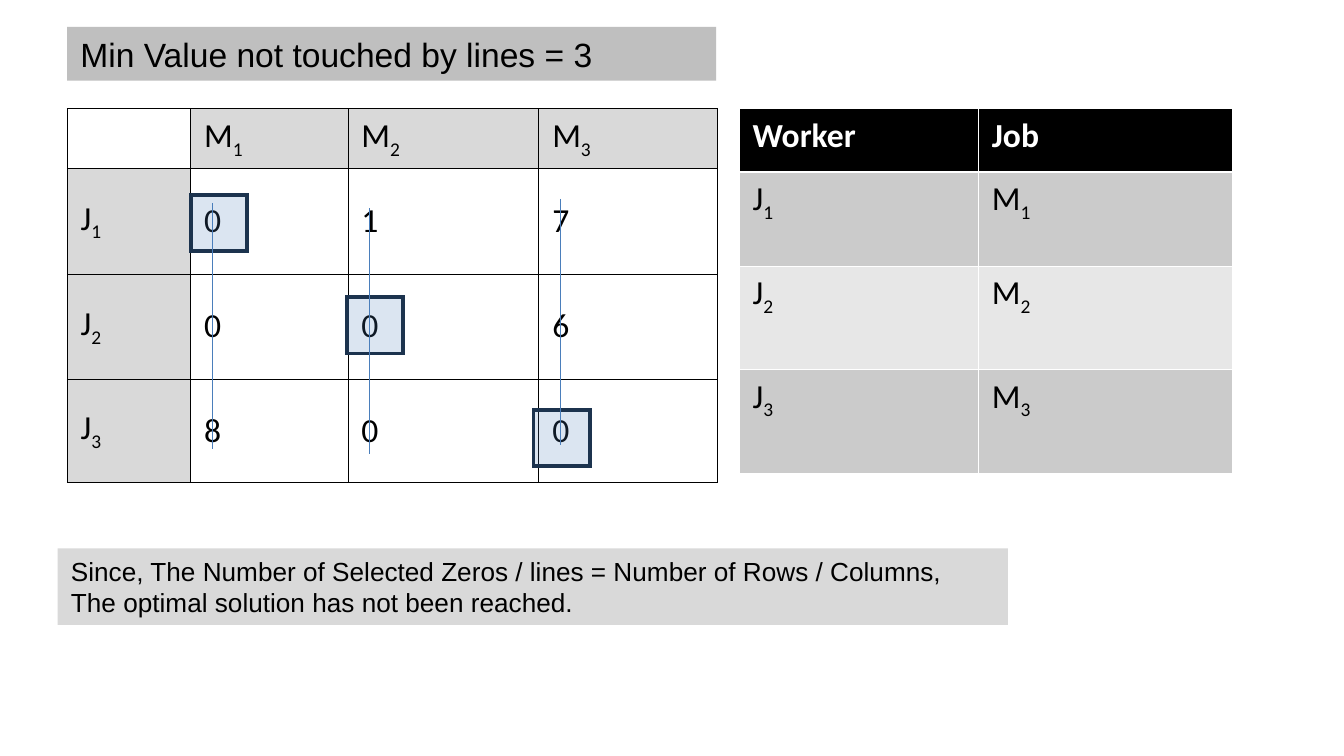
from lxml import etree
from pptx import Presentation
from pptx.dml.color import RGBColor
from pptx.enum.shapes import MSO_CONNECTOR, MSO_SHAPE
from pptx.enum.text import MSO_ANCHOR, PP_ALIGN
from pptx.oxml.ns import qn
from pptx.util import Inches, Pt

RECTANGLE = MSO_SHAPE.RECTANGLE
STRAIGHT = MSO_CONNECTOR.STRAIGHT
TOP, MIDDLE = MSO_ANCHOR.TOP, MSO_ANCHOR.MIDDLE
LEFT = PP_ALIGN.LEFT

COLORS = {
    "black": "000000", "white": "FFFFFF", "title": "BFBFBF", "label": "D9D9D9",
    "band_dark": "CBCBCB", "band_light": "E7E7E7",
    "zero_fill": "4F81BD", "zero_edge": "1C334E", "cover_line": "4A7EBB",
}


def write_text(frame, text, font="Calibri", size=18, color="black", bold=False):
    """Write one paragraph per line; an underscore starts a subscript."""
    frame.word_wrap = True
    for number, line in enumerate(text.split("\n")):
        para = frame.paragraphs[0] if number == 0 else frame.add_paragraph()
        para.alignment = LEFT
        for part, piece in enumerate(line.split("_")):
            span = para.add_run()
            span.text = piece
            span.font.name = font
            span.font.size = Pt(size)
            span.font.bold = bold
            span.font.color.rgb = RGBColor.from_string(COLORS[color])
            if part:
                span.font._element.set("baseline", "-25000")


def add_grid(page, left, top, widths, heights, border, header_rule=0.45):
    """Add an unfilled table with solid borders; header_rule is the line under row 0."""
    table = page.shapes.add_table(
        len(heights), len(widths), Inches(left), Inches(top),
        Inches(sum(widths)), Inches(sum(heights))).table
    table.first_row = table.horz_banding = False
    for column, width in zip(table.columns, widths):
        column.width = Inches(width)
    for index, height in enumerate(heights):
        table.rows[index].height = Inches(height)
        for cell in table.rows[index].cells:
            cell.fill.background()
            properties = cell._tc.get_or_add_tcPr()
            for position, side in enumerate(("lnL", "lnR", "lnT", "lnB")):
                under_header = (index, side) in ((0, "lnB"), (1, "lnT"))
                edge = etree.Element(qn("a:" + side))
                edge.set("w", str(Pt(header_rule if under_header else 0.45)))
                fill = etree.SubElement(edge, qn("a:solidFill"))
                etree.SubElement(fill, qn("a:srgbClr")).set("val", COLORS[border])
                properties.insert(position, edge)
    return table


# Widescreen page, 16:9
deck = Presentation()
deck.slide_width, deck.slide_height = Inches(10), Inches(10 * 9 / 16)
page = deck.slides.add_slide(deck.slide_layouts[6])

# Cost matrix
matrix = [
    ["", "M_1", "M_2", "M_3"],
    ["J_1", "0", "1", "7"],
    ["J_2", "0", "0", "6"],
    ["J_3", "8", "0", "0"],
]
costs = add_grid(page, 0.5, 0.81, [0.92, 1.17, 1.42, 1.33], [0.44, 0.79, 0.78, 0.77], "black")
for row, values in enumerate(matrix):
    for column, value in enumerate(values):
        cell = costs.cell(row, column)
        if value:
            write_text(cell.text_frame, value)
            cell.vertical_anchor = MIDDLE
        if (row == 0) != (column == 0):
            cell.fill.solid()
            cell.fill.fore_color.rgb = RGBColor.from_string(COLORS["label"])

# Title and conclusion bars
conclusion = ("Since, The Number of Selected Zeros / lines = Number of Rows / Columns,\n"
              "The optimal solution has not been reached.")
for left, top, width, height, fill, size, text in (
    (0.5, 0.2, 4.83, 0.4, "title", 18, "Min Value not touched by lines = 3"),
    (0.43, 4.08, 7.07, 0.57, "label", 14, conclusion),
):
    bar = page.shapes.add_shape(RECTANGLE, Inches(left), Inches(top), Inches(width), Inches(height))
    bar.shadow.inherit = False
    bar.fill.solid()
    bar.fill.fore_color.rgb = RGBColor.from_string(COLORS[fill])
    bar.line.fill.background()
    bar.text_frame.vertical_anchor = TOP
    write_text(bar.text_frame, text, font="Arial", size=size)

# Selected zeros, each with the line covering its column
for box_left, box_top, line_x, line_top in (
    (1.42, 1.45, 1.58, 1.51),
    (2.58, 2.21, 2.75, 1.55),
    (3.97, 3.05, 4.17, 1.48),
):
    box = page.shapes.add_shape(
        RECTANGLE, Inches(box_left), Inches(box_top), Inches(0.42), Inches(0.42))
    box.shadow.inherit = False
    box.fill.solid()
    box.fill.fore_color.rgb = RGBColor.from_string(COLORS["zero_fill"])
    tint = box._element.spPr.find(qn("a:solidFill"))[0]
    etree.SubElement(tint, qn("a:alpha")).set("val", "20000")
    box.line.color.rgb = RGBColor.from_string(COLORS["zero_edge"])
    box.line.width = Pt(2)
    etree.SubElement(box._element.spPr.find(qn("a:ln")), qn("a:miter")).set("lim", "800000")

    cover = page.shapes.add_connector(
        STRAIGHT, Inches(line_x), Inches(line_top), Inches(line_x), Inches(line_top + 1.83))
    cover.line.color.rgb = RGBColor.from_string(COLORS["cover_line"])
    cover.line.width = Pt(0.75)
    etree.SubElement(cover._element.spPr, qn("a:effectLst"))

# Assignment table
pairs = [("Worker", "Job")] + [(f"J_{number}", f"M_{number}") for number in (1, 2, 3)]
bands = ["black", "band_dark", "band_light", "band_dark"]
assignment = add_grid(
    page, 5.5, 0.81, [1.78, 1.89], [0.47, 0.7, 0.77, 0.77], "white", header_rule=1.47)
for row, (pair, band) in enumerate(zip(pairs, bands)):
    for column, value in enumerate(pair):
        cell = assignment.cell(row, column)
        cell.fill.solid()
        cell.fill.fore_color.rgb = RGBColor.from_string(COLORS[band])
        write_text(cell.text_frame, value, color="black" if row else "white", bold=row == 0)

deck.save("out.pptx")
